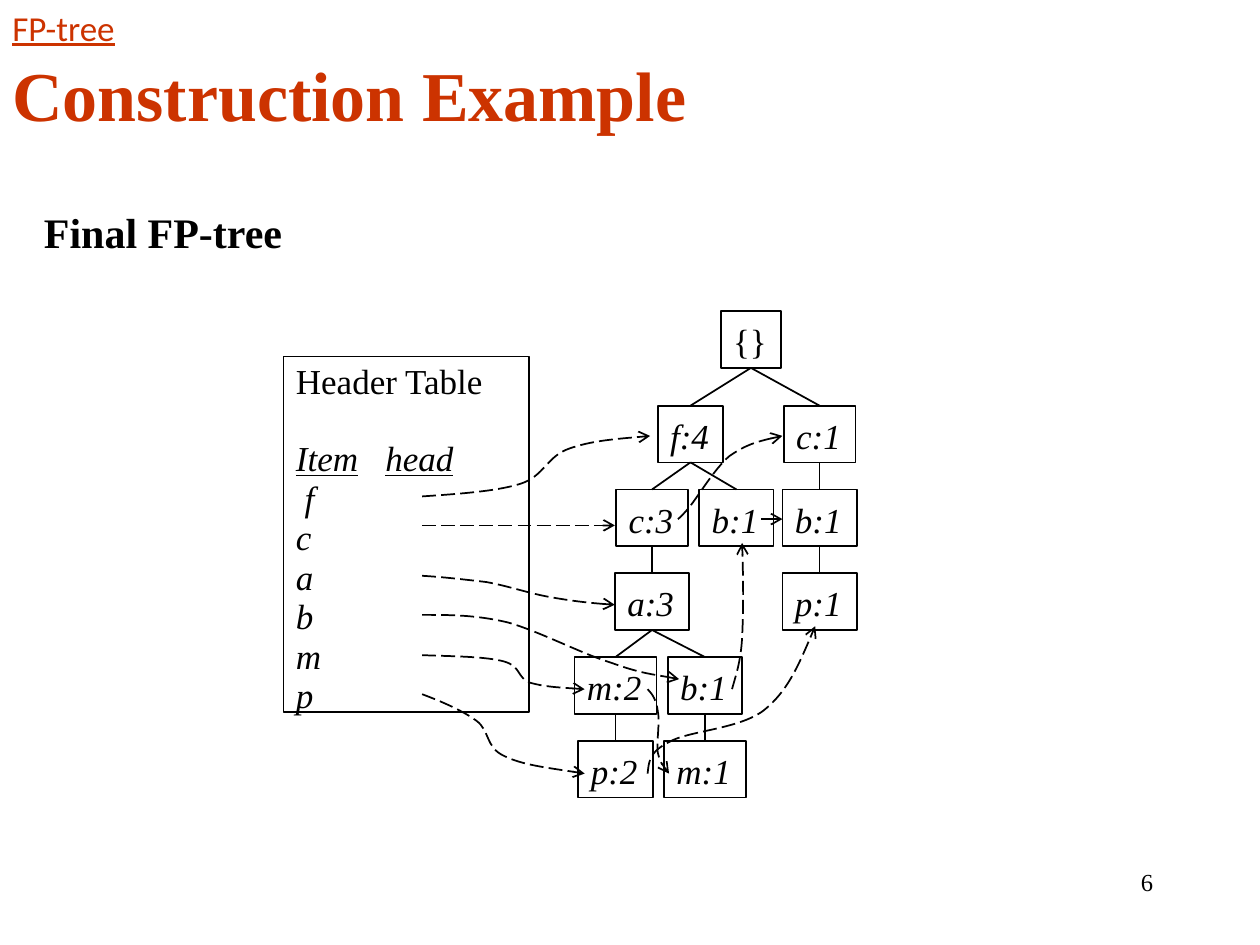
import pptx
import pptx.dml.color
import pptx.enum.dml
import pptx.enum.shapes
import pptx.enum.text
import pptx.oxml
import pptx.oxml.ns
import pptx.util
from pptx.util import Inches

ANCHOR = pptx.enum.text.MSO_ANCHOR
ALIGN = pptx.enum.text.PP_ALIGN
qn = pptx.oxml.ns.qn


def color(hex_code):
    return pptx.dml.color.RGBColor.from_string(hex_code)


def add_child(parent, tag, **attributes):
    child = parent.makeelement(qn(tag), attributes)
    parent.append(child)
    return child


class SlideBuilder:
    FONT = "Times New Roman"
    INK = "000000"
    ACCENT = "CC3300"
    LINE_WIDTH = 1

    def __init__(self, slide):
        self.slide = slide

    def add_run(self, paragraph, text, size=20, font=None, ink=None,
                bold=False, italic=False, underline=False):
        run = paragraph.add_run()
        run.text = text
        run.font.name = font or self.FONT
        run.font.size = pptx.util.Pt(size)
        run.font.bold = bold
        run.font.italic = italic
        run.font.underline = underline
        run.font.color.rgb = color(ink or self.INK)

    def prepare_frame(self, shape, anchor, wrap):
        frame = shape.text_frame
        frame.word_wrap = wrap
        frame.auto_size = pptx.enum.text.MSO_AUTO_SIZE.NONE
        frame.vertical_anchor = anchor
        return frame

    def text(self, left, top, width, height, text, anchor=ANCHOR.TOP,
             align=ALIGN.LEFT, wrap=False, **style):
        shape = self.slide.shapes.add_textbox(
            Inches(left), Inches(top), Inches(width), Inches(height))
        paragraph = self.prepare_frame(shape, anchor, wrap).paragraphs[0]
        paragraph.alignment = align
        self.add_run(paragraph, text, **style)

    def box(self, left, top, width, height, anchor, wrap=False):
        shape = self.slide.shapes.add_shape(
            pptx.enum.shapes.MSO_SHAPE.RECTANGLE,
            Inches(left), Inches(top), Inches(width), Inches(height))
        shape.shadow.inherit = False
        shape.fill.background()
        self.outline(shape)
        return self.prepare_frame(shape, anchor, wrap)

    def node(self, left, top, width, height, text, italic):
        frame = self.box(left, top, width, height, ANCHOR.BOTTOM)
        paragraph = frame.paragraphs[0]
        paragraph.alignment = ALIGN.LEFT
        self.add_run(paragraph, text, italic=italic)

    def outline(self, shape, arrow=False):
        shape.line.color.rgb = color(self.INK)
        shape.line.width = pptx.util.Pt(self.LINE_WIDTH)
        if arrow:
            shape.line.dash_style = pptx.enum.dml.MSO_LINE.LONG_DASH
            line = shape.element.find(".//" + qn("a:ln"))
            add_child(line, "a:tailEnd", type="arrow")

    def line(self, start, end, arrow=False):
        connector = self.slide.shapes.add_connector(
            pptx.enum.shapes.MSO_CONNECTOR.STRAIGHT,
            *(Inches(value) for value in (*start, *end)))
        self.outline(connector, arrow)
        add_child(connector.element.spPr, "a:effectLst")

    def curved_arrow(self, points):
        """Start point, then two controls and an end point per cubic curve."""
        start, *rest = [(Inches(x), Inches(y)) for x, y in points]
        builder = self.slide.shapes.build_freeform(*start)
        builder.add_line_segments(rest, close=False)
        shape = builder.convert_to_shape()
        shape.shadow.inherit = False
        shape.fill.background()
        self.outline(shape, arrow=True)
        # Merge every three line segments into one cubic curve
        geometry = shape.element.find(".//" + qn("a:path"))
        segments = geometry.findall(qn("a:lnTo"))
        for first in range(0, len(segments), 3):
            curve = add_child(geometry, "a:cubicBezTo")
            for segment in segments[first:first + 3]:
                curve.append(segment[0])
                geometry.remove(segment)


NODE_HEIGHT = 0.45
LEVEL_TOPS = [2.47] + [3.22 + 0.665 * step for step in range(5)]

# key: label, left, width, level, parent
NODES = {
    "root": ("{}", 5.72, 0.48, 0, None),
    "f4": ("f:4", 5.22, 0.52, 1, "root"),
    "c1": ("c:1", 6.22, 0.57, 1, "root"),
    "c3": ("c:3", 4.89, 0.57, 2, "f4"),
    "b1 middle": ("b:1", 5.55, 0.59, 2, "f4"),
    "b1 right": ("b:1", 6.21, 0.59, 2, "c1"),
    "a3": ("a:3", 4.88, 0.59, 3, "c3"),
    "p1": ("p:1", 6.21, 0.59, 3, "b1 right"),
    "m2": ("m:2", 4.56, 0.65, 4, "a3"),
    "b1 low": ("b:1", 5.3, 0.59, 4, "a3"),
    "p2": ("p:2", 4.59, 0.59, 5, "m2"),
    "m1": ("m:1", 5.27, 0.65, 5, "b1 low"),
}

STRAIGHT_ARROWS = [
    ((3.35, 4.17), (4.88, 4.17)),
    ((6.04, 4.12), (6.21, 4.12)),
]

CURVED_ARROWS = [
    # Header f to f:4
    [(3.35, 3.94), (3.64, 3.92), (3.94, 3.9), (4.13, 3.84), (4.32, 3.78),
     (4.34, 3.62), (4.52, 3.56), (4.69, 3.5), (4.93, 3.48), (5.16, 3.46)],
    # c:3 to c:1
    [(5.38, 4.12), (5.38, 4.12), (5.39, 4.12), (5.46, 4.04), (5.53, 3.96),
     (5.67, 3.72), (5.79, 3.62), (5.92, 3.53), (6.06, 3.49), (6.21, 3.46)],
    # Header a to a:3
    [(3.35, 4.57), (3.52, 4.58), (3.69, 4.6), (3.86, 4.62), (4.03, 4.65),
     (4.2, 4.71), (4.37, 4.74), (4.54, 4.77), (4.71, 4.79), (4.88, 4.8)],
    # Header b to the lowest b:1
    [(3.35, 4.88), (3.57, 4.88), (3.78, 4.88), (4.03, 4.94), (4.28, 5.01),
     (4.62, 5.19), (4.85, 5.26), (5.07, 5.34), (5.23, 5.36), (5.39, 5.39)],
    # Lowest b:1 to the middle b:1
    [(5.81, 5.47), (5.84, 5.36), (5.88, 5.25), (5.89, 5.06), (5.9, 4.86),
     (5.9, 4.59), (5.89, 4.31)],
    # Header m to m:2
    [(3.35, 5.2), (3.6, 5.21), (3.85, 5.21), (4, 5.25), (4.14, 5.29),
     (4.1, 5.38), (4.21, 5.42), (4.32, 5.45), (4.48, 5.46), (4.64, 5.47)],
    # m:2 to m:1
    [(5.14, 5.47), (5.18, 5.51), (5.21, 5.56), (5.22, 5.64), (5.24, 5.72),
     (5.21, 5.89), (5.22, 5.97), (5.24, 6.05), (5.27, 6.1), (5.31, 6.14)],
    # Header p to p:2
    [(3.35, 5.51), (3.51, 5.57), (3.67, 5.64), (3.78, 5.72), (3.89, 5.8),
     (3.85, 5.93), (4, 6), (4.14, 6.07), (4.39, 6.1), (4.64, 6.14)],
    # p:2 to p:1
    [(5.14, 6.14), (5.15, 6.05), (5.15, 5.97), (5.31, 5.89), (5.46, 5.8),
     (5.86, 5.79), (6.06, 5.64), (6.25, 5.49), (6.36, 5.23), (6.47, 4.97)],
]


def draw_tree(builder):
    for label, left, width, level, parent in NODES.values():
        top = LEVEL_TOPS[level]
        builder.node(left, top, width, NODE_HEIGHT, label, italic=level > 0)
        if parent:
            _, parent_left, parent_width, parent_level, _ = NODES[parent]
            builder.line(
                (parent_left + parent_width / 2,
                 LEVEL_TOPS[parent_level] + NODE_HEIGHT),
                (left + width / 2, top))


def draw_header_table(builder):
    frame = builder.box(2.25, 2.83, 1.95, 2.82, ANCHOR.TOP, wrap=True)
    rows = ["Header Table", "Item\thead", " f", *"cabmp"]
    for index, text in enumerate(rows):
        paragraph = frame.add_paragraph() if index else frame.paragraphs[0]
        paragraph.alignment = ALIGN.LEFT
        paragraph.line_spacing = 0.94
        if index == 1:
            paragraph.space_before = pptx.util.Pt(21.6)
            tabs = add_child(paragraph._p.get_or_add_pPr(), "a:tabLst")
            add_child(tabs, "a:tab", pos=str(Inches(0.71)), algn="l")
        builder.add_run(paragraph, text, italic=index > 0,
                        underline=index == 1)


def main():
    presentation = pptx.Presentation()
    presentation.slide_width = Inches(10)
    presentation.slide_height = Inches(7.5)
    slide = presentation.slides.add_slide(presentation.slide_layouts[6])
    builder = SlideBuilder(slide)

    # Page number and headings
    builder.text(7.17, 6.83, 2.08, 0.5, "6", align=ALIGN.RIGHT, wrap=True,
                 size=14)
    builder.text(0, 0.33, 9.75, 0.82, "Construction Example", ANCHOR.MIDDLE,
                 wrap=True, size=40, ink=builder.ACCENT, bold=True)
    builder.text(0, 0, 1.13, 0.43, "FP-tree", font="Calibri",
                 ink=builder.ACCENT, underline=True)
    builder.text(0.25, 1.58, 2.11, 0.51, "Final FP-tree", ANCHOR.BOTTOM,
                 size=24, bold=True)

    # Tree and header table
    draw_tree(builder)
    draw_header_table(builder)

    # Dashed node links
    for start, end in STRAIGHT_ARROWS:
        builder.line(start, end, arrow=True)
    for points in CURVED_ARROWS:
        builder.curved_arrow(points)

    presentation.save("out.pptx")


if __name__ == "__main__":
    main()
